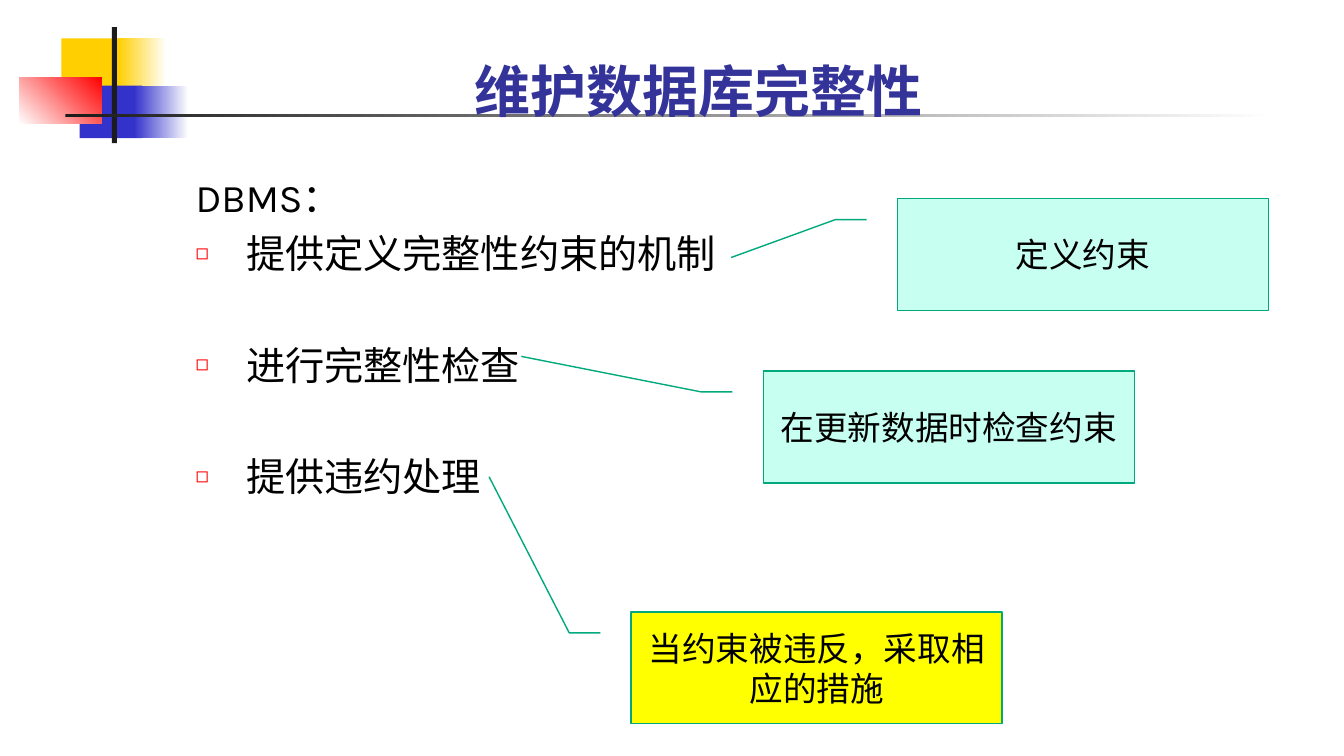
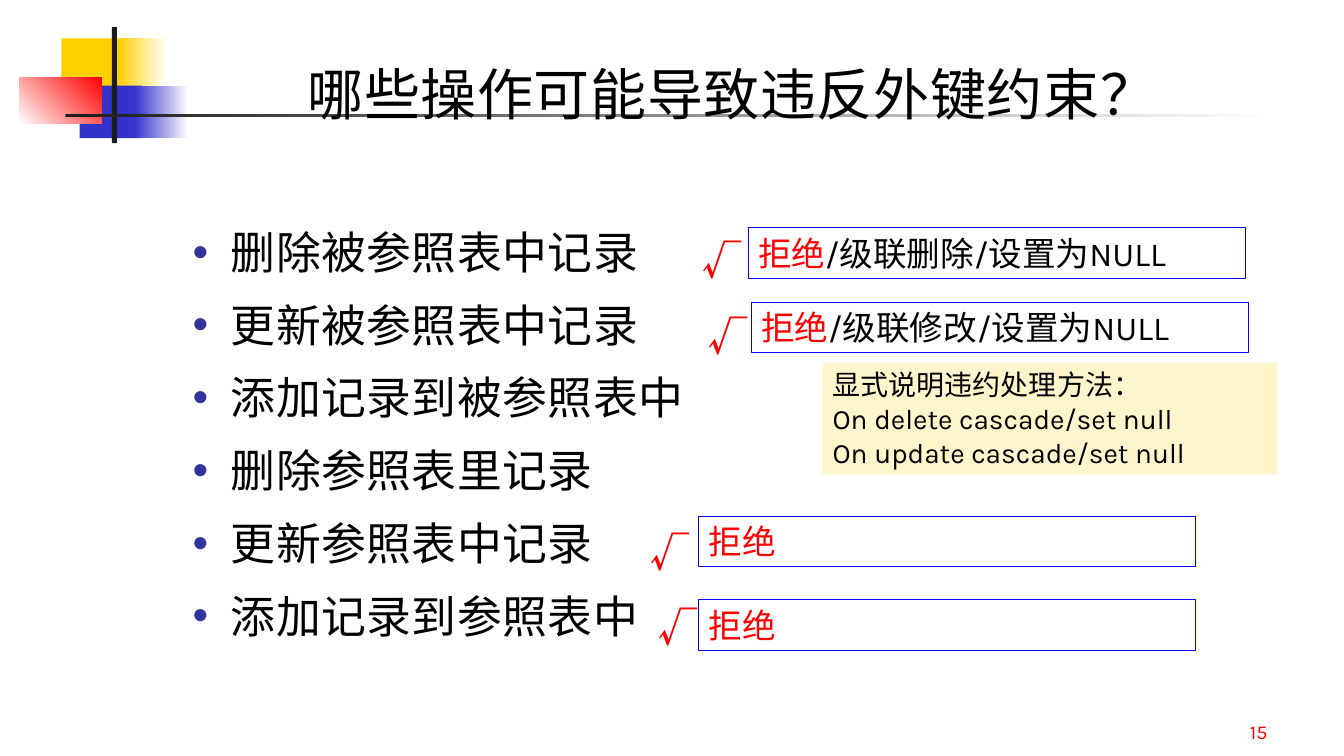
from lxml import etree
from pptx import Presentation
from pptx import util as u
from pptx.dml import color
from pptx.enum import shapes, text
from pptx.oxml import ns

INK, RED, BLUE, GREEN, WHITE = "000000", "FF0000", "333399", "00A97C", "FFFFFF"
CJK = "Noto Sans CJK SC"
BASE = {"name": "Karla", "size": 24, "bold": False, "color": INK, "spacing": 0}
TITLE = {"size": 40}
CENTER = text.PP_ALIGN.CENTER
RECT = shapes.MSO_SHAPE.RECTANGLE


def rgb(value):
    """Turn a hex string into a colour."""
    return color.RGBColor.from_string(value)


def inches(box):
    """Turn left, top, width and height into lengths."""
    return [u.Inches(v) for v in box]


def write(p, content, **formats):
    """Add one formatted run to a paragraph."""
    f = {**BASE, **formats}
    r = p.add_run()
    r.text = content
    for key, value in {"name": f["name"], "size": u.Pt(f["size"]), "bold": f["bold"]}.items():
        setattr(r.font, key, value)
    r.font.color.rgb = rgb(f["color"])
    rPr = r.font._element
    etree.SubElement(rPr, ns.qn("a:ea")).set("typeface", f["name"])
    if f["spacing"]:
        rPr.set("spc", str(int(f["spacing"] * 100)))


def frame(sp, anchor=text.MSO_ANCHOR.TOP):
    """Set wrapping and anchoring and return the text frame."""
    tf = sp.text_frame
    settings = {"word_wrap": True, "auto_size": text.MSO_AUTO_SIZE.NONE, "vertical_anchor": anchor}
    for key, value in settings.items():
        setattr(tf, key, value)
    return tf


def shape(s, box, fill=None, line=None, width=0.75, kind=RECT):
    """Draw a flat shape with an optional fill and line."""
    sp = s.shapes.add_shape(kind, *inches(box))
    sp.shadow.inherit = False
    if fill:
        sp.fill.solid()
        sp.fill.fore_color.rgb = rgb(fill)
    else:
        sp.fill.background()
    if line:
        sp.line.color.rgb = rgb(line)
        sp.line.width = u.Pt(width)
    else:
        sp.line.fill.background()
    return sp


def fade(s, box, start, end, angle=0):
    """Draw a rectangle with a two-colour gradient."""
    sp = shape(s, box)
    sp.fill.gradient()
    sp.fill.gradient_angle = angle
    for stop, value in zip(sp.fill.gradient_stops, (start, end)):
        stop.color.rgb = rgb(value)
    return sp


def master_motif(prs, s):
    """Draw the corner motif and rule, and hand them to the slide master."""
    parts = [
        shape(s, (0.61, 0.38, 0.64, 0.52), "FFCF01"),
        fade(s, (1.17, 0.38, 0.48, 0.52), "FFCF01", WHITE),
        shape(s, (0.79, 0.85, 0.62, 0.52), "3333CC"),
        fade(s, (1.33, 0.85, 0.54, 0.52), "3333CC", WHITE),
        fade(s, (0.19, 0.77, 0.82, 0.46), WHITE, RED, 45),
        shape(s, (1.11, 0.27, 0.05, 1.15), "1C1C1C"),
        fade(s, (0.65, 1.13, 12, 0.03), "1C1C1C", WHITE),
    ]
    for sp in parts:
        prs.slide_master.shapes._spTree.append(sp._element)


def place(sp, box):
    """Move a placeholder to a box."""
    for key, value in zip(("left", "top", "width", "height"), inches(box)):
        setattr(sp, key, value)


def title(s, box, content, align, **formats):
    """Fill the title placeholder."""
    place(s.shapes.title, box)
    p = frame(s.shapes.title, text.MSO_ANCHOR.BOTTOM).paragraphs[0]
    p.alignment = align
    write(p, content, **{**TITLE, **formats})


def bullet(p, left, hang, char=None, tint=INK, percent=100):
    """Set a paragraph's indent and bullet."""
    pPr = p._p.get_or_add_pPr()
    pPr.set("marL", str(u.Inches(left)))
    pPr.set("indent", str(-u.Inches(hang)))
    if not char:
        etree.SubElement(pPr, ns.qn("a:buNone"))
        return
    clr = etree.SubElement(pPr, ns.qn("a:buClr"))
    etree.SubElement(clr, ns.qn("a:srgbClr")).set("val", tint)
    etree.SubElement(pPr, ns.qn("a:buSzPct")).set("val", str(percent * 1000))
    etree.SubElement(pPr, ns.qn("a:buChar")).set("char", char)


def body(s, box, items, **formats):
    """Fill the body with (text, space before, space after, bullet) items."""
    sp = s.placeholders[1]
    place(sp, box)
    tf = frame(sp)
    for i, (content, before, after, mark) in enumerate(items):
        p = tf.add_paragraph() if i else tf.paragraphs[0]
        p.space_before, p.space_after = u.Pt(before), u.Pt(after)
        bullet(p, *mark)
        write(p, content, **formats)


def callout(s, left, top, content, fill, tip):
    """Draw a boxed note whose leader ends at tip, given as fractions (y, x)."""
    sp = shape(s, (left, top, 3.68, 1.11), fill, GREEN, 1, shapes.MSO_SHAPE.LINE_CALLOUT_2)
    for i, value in enumerate((0.188, -0.083, 0.188, -0.167, *tip)):
        sp.adjustments[i] = value
    p = frame(sp, text.MSO_ANCHOR.MIDDLE).paragraphs[0]
    p.alignment = CENTER
    write(p, content)


def label(s, box, content, align, anchor, **formats):
    """Add a one-line text box."""
    p = frame(s.shapes.add_textbox(*inches(box)), anchor).paragraphs[0]
    p.alignment = align
    write(p, content, **formats)


def answer(s, left, top, check, others=""):
    """Draw a tick and the framed list of possible reactions."""
    label(s, (*check, 1.17, 0.57), "√", text.PP_ALIGN.LEFT, text.MSO_ANCHOR.TOP,
          name=CJK, size=28, bold=True, color=RED, spacing=0.3)
    p = frame(shape(s, (left, top, 4.93, 0.5), line="0000FF")).paragraphs[0]
    p.alignment = text.PP_ALIGN.LEFT
    write(p, "拒绝", color=RED)
    if others:
        write(p, others)


def note(s, box, lines):
    """Draw a tinted note of several lines."""
    tf = frame(shape(s, box, "FFF5CC"))
    for i, content in enumerate(lines):
        p = tf.add_paragraph() if i else tf.paragraphs[0]
        p.alignment = text.PP_ALIGN.LEFT
        write(p, content, size=20)


def integrity_slide(s):
    """Build the slide on maintaining integrity."""
    title(s, (2.68, 0.11, 8.49, 1.17), "维护数据库完整性", CENTER,
          name=CJK, bold=True, color=BLUE)
    square = (1, 0.5, "◻", RED, 55)
    body(s, (1.34, 1.67, 10.89, 3.4), [
        ("DBMS：", 0, 0, (0.5, 0)),
        ("提供定义完整性约束的机制", 6.5, 0, square),
        ("进行完整性检查", 46, 0, square),
        ("提供违约处理", 46, 0, square),
    ], size=28)
    for args in (
        (8.9, 1.97, "定义约束", "C7FFF0", (0.527, -0.448)),
        (7.57, 3.68, "在更新数据时检查约束", "C7FFF0", (-0.13, -0.652)),
        (6.26, 6.07, "当约束被违反，采取相应的措施", "FFFF00", (-1.208, -0.383)),
    ):
        callout(s, *args)


def foreign_key_slide(s):
    """Build the slide on operations that break foreign keys."""
    title(s, (2.95, 0.14, 9, 1.17), "哪些操作可能导致违反外键约束？",
          text.PP_ALIGN.LEFT, spacing=0.5)
    operations = ("删除被参照表中记录", "更新被参照表中记录", "添加记录到被参照表中",
                  "删除参照表里记录", "更新参照表中记录", "添加记录到参照表中")
    dot = (0.38, 0.38, "•", BLUE)
    body(s, (1.81, 2.18, 8.67, 4.5),
         [(item, 7.5 if i else 0, 6, dot) for i, item in enumerate(operations)],
         size=32, spacing=0.3)
    label(s, (9.89, 6.92, 2.78, 0.5), "15", text.PP_ALIGN.RIGHT,
          text.MSO_ANCHOR.BOTTOM, size=14, color=RED)
    for args in (
        (7.42, 2.26, (6.87, 2.3), "/级联删除/设置为NULL"),
        (7.45, 3, (6.93, 3.05), "/级联修改/设置为NULL"),
        (6.93, 5.12, (6.35, 5.19)),
        (6.93, 5.95, (6.43, 5.94)),
    ):
        answer(s, *args)
    note(s, (8.16, 3.6, 4.51, 1.11), (
        "显式说明违约处理方法：", "On delete cascade/set null", "On update cascade/set null"))


def main():
    """Build and save the presentation."""
    prs = Presentation()
    prs.slide_width, prs.slide_height = u.Inches(13.33), u.Inches(7.5)
    slides = [prs.slides.add_slide(prs.slide_layouts[1]) for _ in range(2)]
    master_motif(prs, slides[0])
    for build, s in zip((integrity_slide, foreign_key_slide), slides):
        build(s)
    prs.save("out.pptx")


if __name__ == "__main__":
    main()
